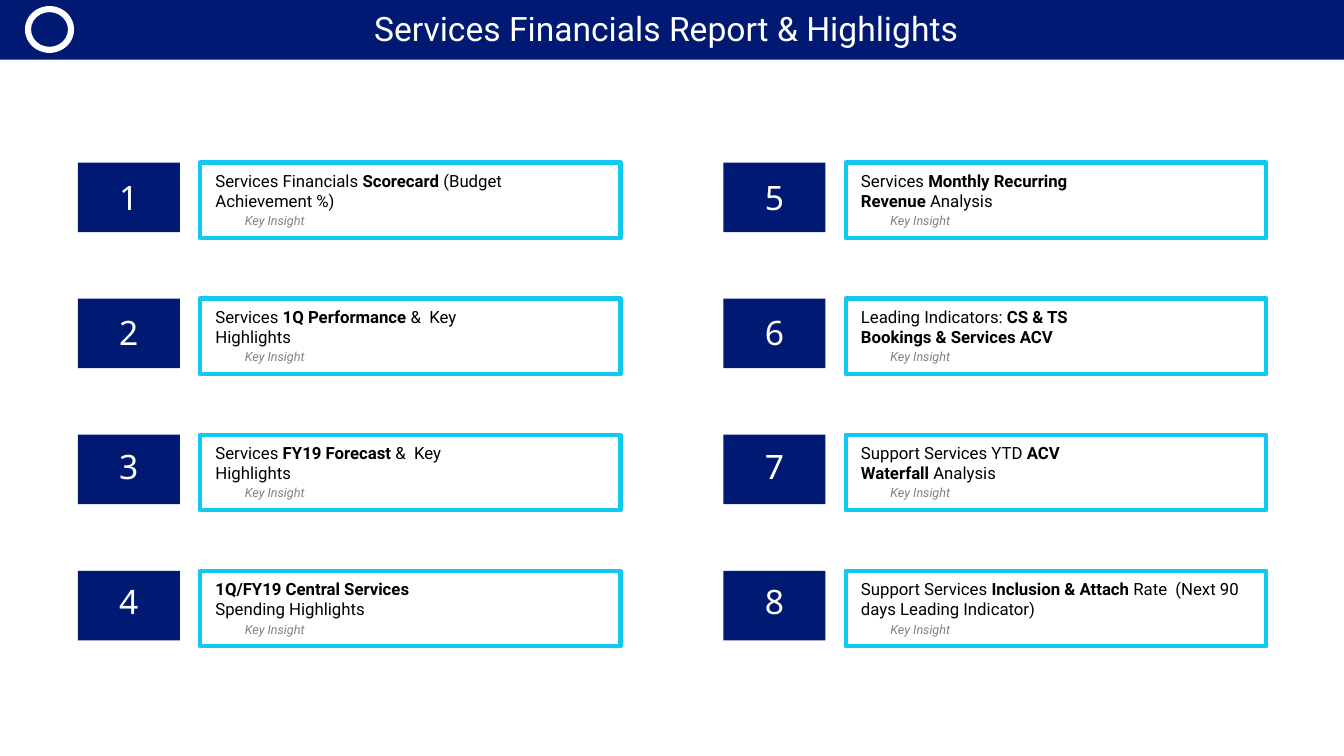
from dataclasses import dataclass

from lxml.etree import SubElement
from pptx import Presentation
from pptx.dml.color import RGBColor
from pptx.enum.shapes import MSO_SHAPE as Preset
from pptx.enum.text import MSO_ANCHOR as Anchor, PP_ALIGN as Align
from pptx.oxml.ns import qn
from pptx.shapes.autoshape import Shape
from pptx.slide import Slide
from pptx.text.text import TextFrame
from pptx.util import Inches, Pt

NAVY = RGBColor(0x00, 0x19, 0x73)
CYAN = RGBColor(0x0F, 0xC9, 0xF2)
WHITE = RGBColor(0xFF, 0xFF, 0xFF)
BLACK = RGBColor(0x00, 0x00, 0x00)
GRAY = RGBColor(0x80, 0x80, 0x80)

SLIDE_WIDTH, SLIDE_HEIGHT = 17.78, 10
ROWS = 4
GRID_LEFT, GRID_TOP = 1.03, 2.15
COLUMN_STEP, ROW_STEP = 8.54, 1.8
CARD_OFFSET = 1.62
NUMBER_SIZE = (1.35, 0.92)
CARD_SIZE = (5.56, 1)
NUMBER_INSETS = (0.19, 0.18, 0.15, 0.14)


@dataclass(frozen=True)
class Topic:
    """An agenda entry: plain text, bold text, plain text and right indent."""
    lead: str
    strong: str
    tail: str
    right_indent: float


TOPICS = (
    Topic("Services Financials ", "Scorecard", " (Budget Achievement %)", 0.95),
    Topic("Services ", "1Q Performance", " &  Key Highlights", 1.7),
    Topic("Services ", "FY19 Forecast", " &  Key Highlights", 1.7),
    Topic("", "1Q/FY19 Central Services ", "Spending Highlights", 2.2),
    Topic("Services ", "Monthly Recurring Revenue ", "Analysis", 2.2),
    Topic("Leading Indicators: ", "CS & TS Bookings & Services ACV", "", 2.2),
    Topic("Support Services YTD ", "ACV Waterfall", " Analysis", 2.2),
    Topic("Support Services ", "Inclusion & Attach",
          " Rate  (Next 90 days Leading Indicator)", 0),
)


def add_box(slide: Slide, preset: Preset, left: float, top: float, width: float,
            height: float, fill: RGBColor | None = None,
            outline: RGBColor | None = None) -> Shape:
    shape = slide.shapes.add_shape(
        preset, Inches(left), Inches(top), Inches(width), Inches(height))
    shape.shadow.inherit = False
    if fill is None:
        shape.fill.background()
    else:
        shape.fill.solid()
        shape.fill.fore_color.rgb = fill
    if outline is None:
        shape.line.fill.background()
    else:
        shape.line.color.rgb = outline
        shape.line.width = Pt(4)
        SubElement(shape.element.spPr.find(qn("a:ln")), qn("a:round"))
    return shape


def prepare_frame(shape: Shape, top: float, bottom: float = 0) -> TextFrame:
    frame = shape.text_frame
    frame.word_wrap = True
    frame.vertical_anchor = Anchor.TOP
    frame.margin_left = frame.margin_right = 0
    frame.margin_top, frame.margin_bottom = Inches(top), Inches(bottom)
    return frame


def write(paragraph, text: str, *, size: float, color: RGBColor,
          font: str = "Roboto", bold: bool = False, italic: bool = False,
          align: Align = Align.LEFT, indent: float = 0, right_indent: float = 0,
          before: float = 0) -> None:
    """Append a run to the paragraph and set the paragraph's layout."""
    paragraph.alignment = align
    paragraph.space_before = Pt(before)
    properties = paragraph._p.get_or_add_pPr()
    properties.set("marL", str(Inches(indent)))
    properties.set("marR", str(Inches(right_indent)))
    properties.set("indent", "0")
    run = paragraph.add_run()
    run.text = text
    run.font.name, run.font.size = font, Pt(size)
    run.font.bold, run.font.italic = bold, italic
    run.font.color.rgb = color


def add_header(slide: Slide) -> None:
    add_box(slide, Preset.RECTANGLE, 0, 0, SLIDE_WIDTH, 0.79, fill=NAVY)
    title = slide.shapes.add_textbox(
        Inches(4.94), Inches(0.1), Inches(7.88), Inches(0.56))
    write(prepare_frame(title, 0.01).paragraphs[0],
          "Services Financials Report & Highlights",
          size=32, color=WHITE, indent=0.01)
    ring = add_box(slide, Preset.DONUT, 0.33, 0.08, 0.65, 0.62, fill=WHITE)
    ring.adjustments[0] = 0.13


def add_topic(slide: Slide, index: int, topic: Topic) -> None:
    column, row = divmod(index, ROWS)
    left = GRID_LEFT + column * COLUMN_STEP
    top = GRID_TOP + row * ROW_STEP

    number = add_box(slide, Preset.RECTANGLE, left, top, *NUMBER_SIZE, fill=NAVY)
    write(prepare_frame(number, NUMBER_INSETS[row]).paragraphs[0], str(index + 1),
          size=32, color=WHITE, font="Noto Sans", align=Align.CENTER)

    card = add_box(slide, Preset.RECTANGLE, left + CARD_OFFSET, top, *CARD_SIZE,
                   outline=CYAN)
    frame = prepare_frame(card, 0.11, 0.12)
    parts = ((topic.lead, False), (topic.strong, True), (topic.tail, False))
    for text, bold in parts:
        if text:
            write(frame.paragraphs[0], text, size=16, color=BLACK, bold=bold,
                  indent=0.2, right_indent=topic.right_indent, before=2)
    write(frame.add_paragraph(), "Key Insight", size=12, color=GRAY, italic=True,
          indent=0.59, before=2)


def main() -> None:
    presentation = Presentation()
    presentation.slide_width = Inches(SLIDE_WIDTH)
    presentation.slide_height = Inches(SLIDE_HEIGHT)
    slide = presentation.slides.add_slide(presentation.slide_layouts[6])
    add_header(slide)
    for index, topic in enumerate(TOPICS):
        add_topic(slide, index, topic)
    presentation.save("out.pptx")


if __name__ == "__main__":
    main()
